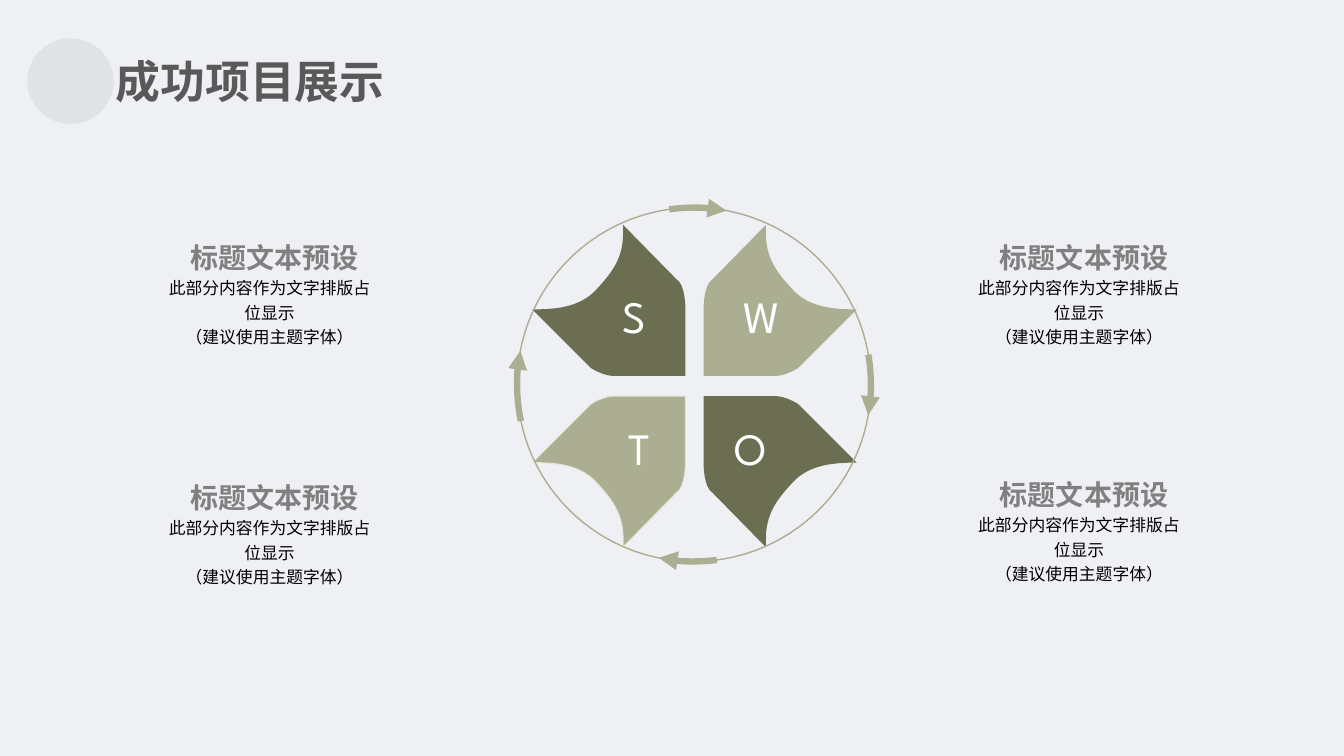
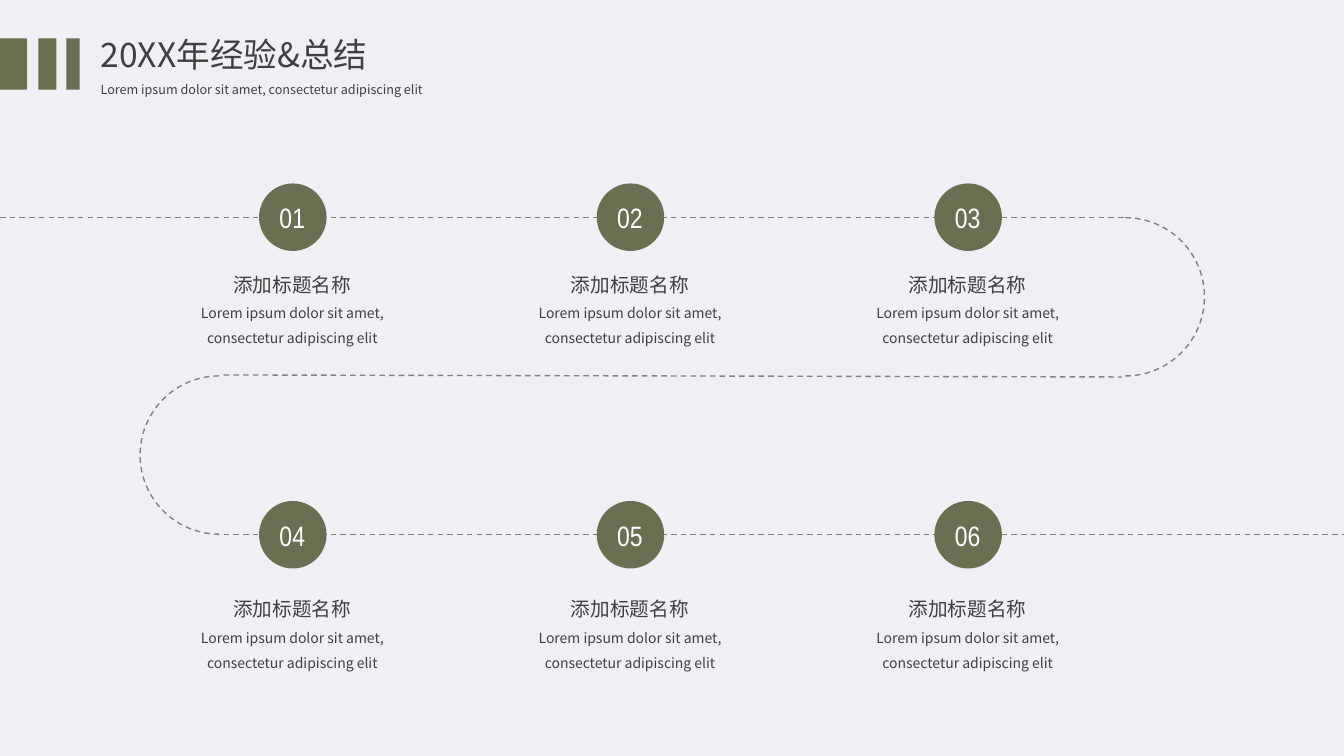
from pptx import Presentation
from pptx.dml.color import RGBColor
from pptx.enum.dml import MSO_LINE
from pptx.enum.shapes import MSO_CONNECTOR, MSO_SHAPE
from pptx.enum.text import MSO_ANCHOR, MSO_AUTO_SIZE, PP_ALIGN
from pptx.oxml.ns import qn
from pptx.oxml.xmlchemy import OxmlElement
from pptx.util import Emu, Pt

# Shared style
PAPER = RGBColor(0xEE, 0xF0, 0xF4)
OLIVE = RGBColor(0x6B, 0x6E, 0x51)
SAGE = RGBColor(0xAB, 0xAE, 0x91)
CREAM = RGBColor(0xE7, 0xE5, 0xD9)
HEAD = RGBColor(0x59, 0x59, 0x59)
GRAY = RGBColor(0x80, 0x80, 0x80)
INK = RGBColor(0x40, 0x40, 0x40)
BLACK = RGBColor(0x00, 0x00, 0x00)
WHITE = RGBColor(0xFF, 0xFF, 0xFF)

SANS = "Noto Sans CJK SC"
SPARTAN = "League Spartan"
NARROW = "Arial Narrow"

SCALE = 9144  # EMU in one px, 100 px to the inch
WIDE, HIGH = Emu(12192000), Emu(6858000)
MID = PP_ALIGN.CENTER
LOREM = "Lorem ipsum dolor sit amet, consectetur adipiscing elit"

# Petal edge, seen from the centre: start, then curves of three points
TIP = (161, 76)
EDGES = [
    ((103, 18), (103, 18), (103, 18)),
    ((103, 18), (90, 9), (77, 10)),
    ((9, 10), (9, 10), (9, 10)),
    ((9, 77), (9, 77), (9, 77)),
    ((9, 77), (9, 101), (18, 106)),
    ((71, 160), (71, 160), (71, 160)),
    ((69, 130), (79, 115), (99, 94)),
    ((115, 78), (138, 76), TIP),
]


def emu(px):
    return round(px * SCALE)


def child(node, tag, **attrs):
    item = OxmlElement(tag)
    for key, value in attrs.items():
        item.set(key, value)
    node.append(item)
    return item


def write(para, text, size=12, font=SANS, color=INK, bold=False,
          align=None, space=None):
    para.text = text
    para.alignment = align
    para.line_spacing = space
    for run in para.runs:
        run.font.size = Pt(size)
        run.font.name = font
        run.font.bold = bold
        run.font.color.rgb = color
        child(run.font._element, "a:ea", typeface=font)


class Deck:
    def __init__(self):
        self.show = Presentation()
        self.show.slide_width, self.show.slide_height = WIDE, HIGH
        self.slide = None

    def page(self):
        self.slide = self.show.slides.add_slide(self.show.slide_layouts[6])
        fill = self.slide.background.fill
        fill.solid()
        fill.fore_color.rgb = PAPER

    def paint(self, shape, fill=None, line=None, width=1):
        shape.shadow.inherit = False
        if fill is None:
            shape.fill.background()
        else:
            shape.fill.solid()
            shape.fill.fore_color.rgb = fill
        if line is None:
            shape.line.fill.background()
        else:
            self.stroke(shape, line, width)
        return shape

    def stroke(self, shape, color, width=1, dash=False, arrow=False):
        shape.line.color.rgb = color
        shape.line.width = Pt(width)
        if dash:
            shape.line.dash_style = MSO_LINE.DASH
        if arrow:
            child(shape.element.spPr.find(qn("a:ln")), "a:tailEnd", type="triangle")

    def shape(self, kind, x, y, w, h, **look):
        item = self.slide.shapes.add_shape(kind, *map(emu, (x, y, w, h)))
        return self.paint(item, **look)

    def arc(self, x, y, size, start, end, color, width=1, **ends):
        item = self.shape(MSO_SHAPE.ARC, x, y, size, size)
        for i, angle in enumerate((start, end)):
            item.adjustments[i] = angle * 0.6  # 60000 units in a degree
        self.stroke(item, color, width, **ends)

    def line(self, x, y, right, low):
        item = self.slide.shapes.add_connector(
            MSO_CONNECTOR.STRAIGHT, *map(emu, (x, y, right, low)))
        self.stroke(item, GRAY, dash=True)
        child(item.element.spPr, "a:effectLst")

    def petal(self, x, y, across, down, **look):
        def place(point):
            return emu(x + across * point[0]), emu(y + down * point[1])

        path = self.slide.shapes.build_freeform(*place(TIP))
        path.add_line_segments([place(edge[-1]) for edge in EDGES], close=True)
        item = self.paint(path.convert_to_shape(), **look)
        # Swap each straight edge for its curve
        sides = list(item.element.spPr.iter(qn("a:lnTo")))
        for side, edge in zip(sides, EDGES):
            curve = OxmlElement("a:cubicBezTo")
            for left, top in map(place, edge):
                child(curve, "a:pt", x=str(left - item.left), y=str(top - item.top))
            side.getparent().replace(side, curve)

    def text(self, x, y, w, h, *paras, wrap=True, inset=True,
             anchor=MSO_ANCHOR.TOP):
        box = self.slide.shapes.add_textbox(*map(emu, (x, y, w, h)))
        frame = box.text_frame
        frame.word_wrap = wrap
        frame.vertical_anchor = anchor
        if inset:
            frame.auto_size = MSO_AUTO_SIZE.SHAPE_TO_FIT_TEXT
        else:
            frame.auto_size = MSO_AUTO_SIZE.NONE
            frame.margin_left = frame.margin_right = 0
            frame.margin_top = frame.margin_bottom = 0
        for i, (words, style) in enumerate(paras):
            para = frame.add_paragraph() if i else frame.paragraphs[0]
            write(para, words, **style)

    def label(self, x, y):
        self.text(x, y, 217, 46,
                  ("标题文本预设", dict(size=20, color=GRAY, bold=True, align=MID)),
                  wrap=False, inset=False, anchor=MSO_ANCHOR.BOTTOM)
        self.text(x, y + 46, 207, 32,
                  ("此部分内容作为文字排版占位显示\n（建议使用主题字体）",
                   dict(color=BLACK, align=MID, space=1.2)), inset=False)


def swot(deck):
    deck.page()
    # Title
    deck.text(105, 48, 360, 64,
              ("成功项目展示", dict(size=32, color=HEAD, bold=True,
                              align=PP_ALIGN.JUSTIFY)))
    disc = deck.shape(MSO_SHAPE.OVAL, 27, 38, 86, 85, fill=OLIVE)
    tint = disc.element.spPr.find(qn("a:solidFill"))[0]
    child(tint, "a:alpha", val="10000")

    # Petals
    for across, down, fill, edge in ((1, 1, OLIVE, None), (-1, 1, SAGE, CREAM),
                                     (1, -1, SAGE, None), (-1, -1, OLIVE, None)):
        deck.petal(689, 383, across, down, fill=fill, line=edge, width=0.75)

    # Ring with arrows
    deck.shape(MSO_SHAPE.OVAL, 513, 206, 351, 351, line=SAGE)
    for start, end in ((350.3, 9.97), (82.62, 101.51),
                       (168.06, 191.02), (261.97, 280.57)):
        deck.arc(513, 206, 351, start, end, SAGE, 4.5, arrow=True)

    # Letters
    for letter, x, y, w in (("S", 608, 282, 43), ("W", 728, 282, 63),
                            ("O", 719, 412, 59), ("T", 614, 412, 39)):
        deck.text(x, y, w, 64,
                  (letter, dict(size=32, font=SPARTAN, color=WHITE)), wrap=False)

    # Labels
    for x, y in ((164, 226), (164, 464), (967, 226), (967, 461)):
        deck.label(x, y)


def review(deck):
    deck.page()
    # Title and bars
    deck.text(90, 69, 380, 30, (LOREM, dict(size=9, space=1.5)))
    deck.text(90, 28, 635, 51, ("20XX年经验&总结", dict(size=24)),
              anchor=MSO_ANCHOR.MIDDLE)
    for x, w in ((66, 13), (38, 18), (0, 27)):
        deck.shape(MSO_SHAPE.RECTANGLE, x, 38, w, 51, fill=OLIVE)

    # Winding track
    deck.arc(1038, 216, 157, 270, 90.19, GRAY, dash=True)
    deck.line(0, 216, 1117, 216)
    deck.line(222, 372, 1113, 374)
    deck.arc(139, 373, 157, 89.81, 270, GRAY, dash=True)
    deck.line(222, 530, 1333, 530)

    # Stops: circle, number and caption
    stops = [(170 + 335 * col, top, low)
             for top, low in ((182, 254), (497, 576)) for col in range(3)]
    for x, top, low in stops:
        deck.shape(MSO_SHAPE.OVAL, x + 87, top, 67, 67, fill=OLIVE)
    for number, (x, top, low) in enumerate(stops, 1):
        deck.text(x + 97, top + 12, 46, 44,
                  (f"{number:02}",
                   dict(size=20, font=NARROW, color=WHITE, align=MID)))
    for x, top, low in stops:
        deck.text(x, low, 240, 96,
                  ("添加标题名称", dict(size=14, align=MID, space=1.5)),
                  (LOREM, dict(size=10, align=MID, space=1.5)))


def main():
    deck = Deck()
    swot(deck)
    review(deck)
    deck.show.save("out.pptx")


if __name__ == "__main__":
    main()
